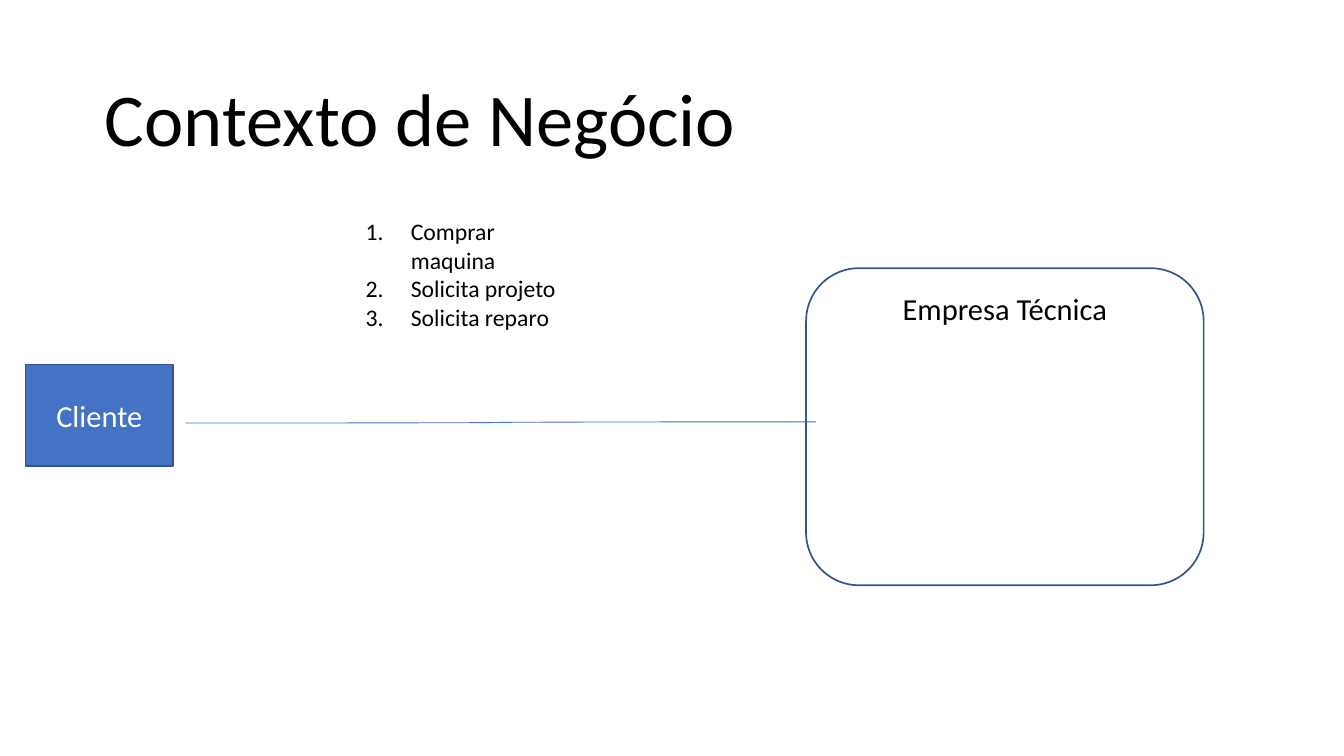
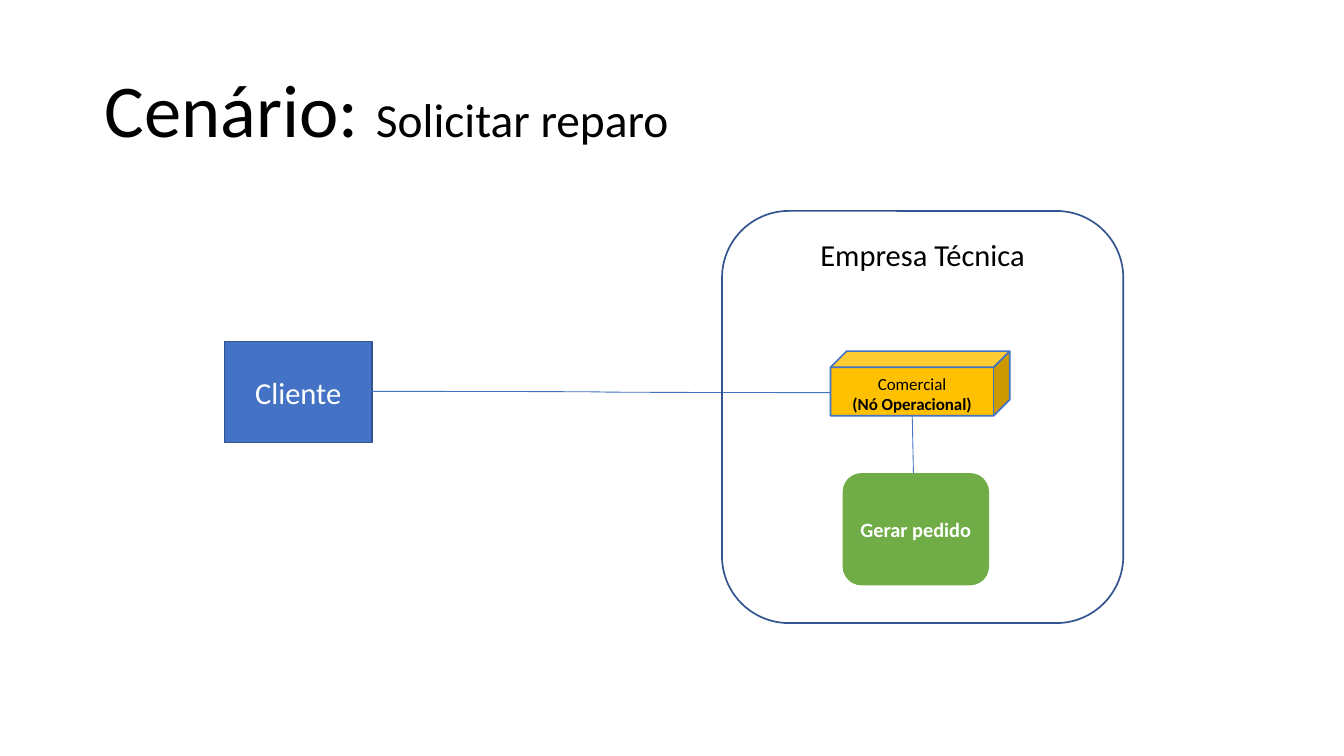
from dataclasses import dataclass
from typing import Optional

from lxml.etree import SubElement
from pptx import Presentation
from pptx.dml.color import RGBColor
from pptx.enum.shapes import MSO_CONNECTOR, MSO_SHAPE
from pptx.enum.text import MSO_ANCHOR, MSO_AUTO_SIZE, PP_ALIGN
from pptx.oxml.ns import qn
from pptx.util import Inches, Pt

# Shared style
FONT = "Calibri"
BLACK = RGBColor(0x00, 0x00, 0x00)
WHITE = RGBColor(0xFF, 0xFF, 0xFF)
BLUE = RGBColor(0x44, 0x72, 0xC4)
DARK_BLUE = RGBColor(0x32, 0x54, 0x90)
GOLD = RGBColor(0xFF, 0xC0, 0x00)
GREEN = RGBColor(0x70, 0xAD, 0x47)


@dataclass(frozen=True)
class Run:
    text: str
    size: float
    color: RGBColor = BLACK
    bold: bool = False


@dataclass(frozen=True)
class Node:
    kind: MSO_SHAPE
    width: float
    height: float
    paragraphs: tuple[Run, ...]
    fill: Optional[RGBColor] = None
    line: Optional[RGBColor] = None
    anchor: MSO_ANCHOR = MSO_ANCHOR.MIDDLE


@dataclass(frozen=True)
class Link:
    start: tuple[float, float]
    end: tuple[float, float]
    kind: MSO_CONNECTOR = MSO_CONNECTOR.CURVE


CLIENT = Node(MSO_SHAPE.RECTANGLE, 1.21, 0.83, (Run("Cliente", 18, WHITE),), BLUE, DARK_BLUE)
SALES = Node(MSO_SHAPE.CUBE, 1.47, 0.53,
             (Run("Comercial", 10), Run("(Nó Operacional)", 10, bold=True)),
             GOLD, BLUE, MSO_ANCHOR.TOP)
ORDER = Node(MSO_SHAPE.ROUNDED_RECTANGLE, 1.2, 0.92,
             (Run("Gerar pedido", 12, WHITE, True),), GREEN)


def company(width: float, height: float) -> Node:
    return Node(MSO_SHAPE.ROUNDED_RECTANGLE, width, height, (Run("Empresa Técnica", 18),),
                line=DARK_BLUE, anchor=MSO_ANCHOR.TOP)


def add_text(p, text: str, *, size: float, color: RGBColor = BLACK, bold: bool = False) -> None:
    r = p.add_run()
    r.text = text
    r.font.name = FONT
    r.font.size = Pt(size)
    r.font.bold = bold
    r.font.color.rgb = color


def paragraph(tf, index: int):
    return tf.paragraphs[0] if index == 0 else tf.add_paragraph()


def add_slide(prs, top: float, *title: Run):
    s = prs.slides.add_slide(prs.slide_layouts[5])
    sp = s.shapes.title
    sp.left, sp.top, sp.width, sp.height = map(Inches, (0.76, top, 9.51, 1.2))
    tf = sp.text_frame
    tf.auto_size = MSO_AUTO_SIZE.NONE
    tf.vertical_anchor = MSO_ANCHOR.MIDDLE
    p = tf.paragraphs[0]
    p.alignment = PP_ALIGN.LEFT
    p.line_spacing = 0.9
    for run in title:
        add_text(p, run.text, size=run.size, color=run.color, bold=run.bold)
    return s


def add_node(s, node: Node, left: float, top: float) -> None:
    sp = s.shapes.add_shape(node.kind, *map(Inches, (left, top, node.width, node.height)))
    sp.shadow.inherit = False
    if node.fill is None:
        sp.fill.background()
    else:
        sp.fill.solid()
        sp.fill.fore_color.rgb = node.fill
    if node.line is None:
        sp.line.fill.background()
    else:
        sp.line.color.rgb = node.line
        sp.line.width = Pt(1)
    tf = sp.text_frame
    tf.word_wrap = True
    tf.vertical_anchor = node.anchor
    for i, run in enumerate(node.paragraphs):
        p = paragraph(tf, i)
        p.alignment = PP_ALIGN.CENTER
        add_text(p, run.text, size=run.size, color=run.color, bold=run.bold)


def add_link(s, link: Link) -> None:
    c = s.shapes.add_connector(link.kind, *map(Inches, link.start + link.end))
    c.line.color.rgb = BLUE
    c.line.width = Pt(0.5)
    SubElement(c._element.spPr, qn("a:effectLst"))


def add_numbered_list(s, left: float, top: float, width: float, height: float,
                      items: tuple[str, ...]) -> None:
    tf = s.shapes.add_textbox(*map(Inches, (left, top, width, height))).text_frame
    tf.word_wrap = True
    for i, item in enumerate(items):
        p = paragraph(tf, i)
        pPr = p._p.get_or_add_pPr()
        pPr.set("marL", str(Inches(0.38)))
        pPr.set("indent", str(-Inches(0.37)))
        SubElement(pPr, qn("a:buAutoNum"), type="arabicPeriod")
        add_text(p, item, size=14)


prs = Presentation()
prs.slide_width, prs.slide_height = Inches(11.02), Inches(6.2)

# Business context
s = add_slide(prs, 0.4, Run("Contexto de Negócio", 44))
add_node(s, CLIENT, 0.21, 2.99)
add_link(s, Link((1.52, 3.47), (6.69, 3.46)))
add_numbered_list(s, 2.89, 1.73, 1.98, 0.8,
                  ("Comprar maquina", "Solicita projeto", "Solicita reparo"))
add_node(s, company(3.26, 2.6), 6.61, 2.2)

# Repair request scenario
s = add_slide(prs, 0.33, Run("Cenário: ", 44), Run("Solicitar reparo", 28))
add_node(s, SALES, 6.81, 2.88)
add_node(s, ORDER, 6.91, 3.88)
add_node(s, CLIENT, 1.84, 2.8)
add_link(s, Link((3.05, 3.21), (6.81, 3.22)))
add_node(s, company(3.29, 3.38), 5.92, 1.73)
add_link(s, Link((7.48, 3.41), (7.49, 3.88), MSO_CONNECTOR.STRAIGHT))

prs.save("out.pptx")
